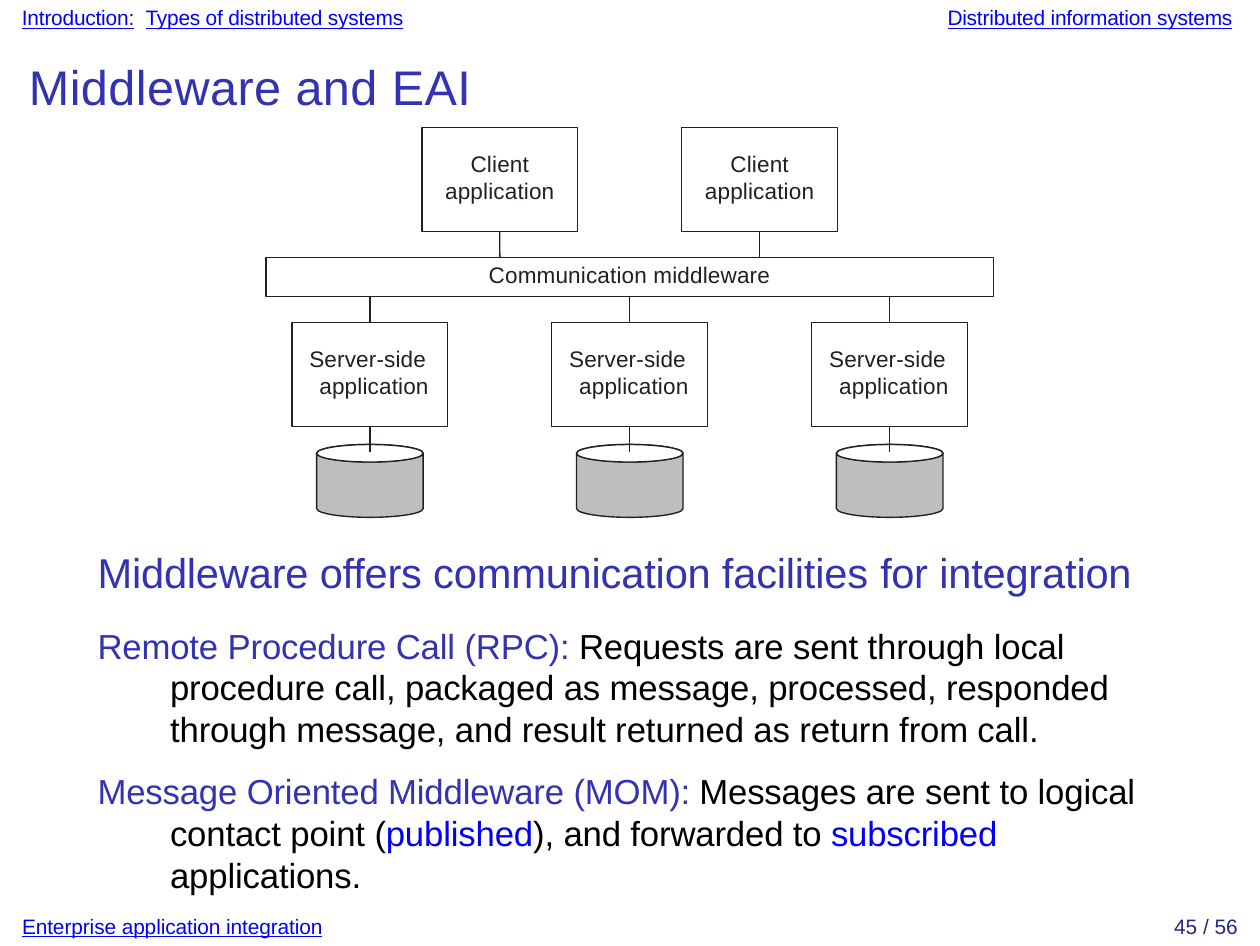
"""Builds a slide on middleware and enterprise application integration."""
from pptx import Presentation
from pptx.dml.color import RGBColor
from pptx.enum.shapes import MSO_CONNECTOR, MSO_SHAPE
from pptx.enum.text import MSO_ANCHOR, PP_ALIGN
from pptx.oxml.ns import qn
from pptx.util import Inches, Pt
from lxml import etree

RECT, CAN, OVAL = MSO_SHAPE.RECTANGLE, MSO_SHAPE.CAN, MSO_SHAPE.OVAL
LINE = MSO_CONNECTOR.STRAIGHT
MIDDLE, CENTER, LEFT = MSO_ANCHOR.MIDDLE, PP_ALIGN.CENTER, PP_ALIGN.LEFT
TOP, BOTTOM = 0, 2

WIDE, HIGH = Pt(363), Pt(272.5)
COL, ROW = 0.52, 0.26
LEFT_COL, TOP_ROW = 1.48, 0.51
BOX_W, BOX_H = 1.2, 1.6
PEN = 0.41
COLORS = {
    "link": "0000FF", "title": "3333B2", "page": "262685", "term": "0000FA",
    "body": "000000", "ink": "231F20", "disk": "BCBEC0", "white": "FFFFFF",
}


def color(name):
    return RGBColor.from_string(COLORS[name])


def col(num):
    return Inches(LEFT_COL + COL * num)


def row(num):
    return Inches(TOP_ROW + ROW * num)


def style(run, size, tint, space):
    font = run.font
    font.name, font.size = "Arial", Pt(size)
    font.color.rgb = color(tint)
    font.underline = tint == "link"
    run._r.get_or_add_rPr().set("spc", str(round(space * 100)))


def indent(para, left, first):
    props = para._p.get_or_add_pPr()
    props.set("marL", str(Inches(left)))
    props.set("indent", str(Inches(first)))


def pad(frame, top=0, bottom=0):
    frame.margin_left = frame.margin_right = 0
    frame.margin_top, frame.margin_bottom = Inches(top), Inches(bottom)
    frame.word_wrap = True


def fill_para(para, size, parts):
    for words, tint, space in parts:
        run = para.add_run()
        run.text = words
        style(run, size, tint, space)


def add_text(slide, place, size, parts):
    """Place is left, top, width and height in percent of the slide."""
    x, y, w, h = place
    box = slide.shapes.add_textbox(
        round(WIDE * x / 100), round(HIGH * y / 100),
        round(WIDE * w / 100), round(HIGH * h / 100))
    pad(box.text_frame, 0.02)
    fill_para(box.text_frame.paragraphs[0], size, parts)
    return box.text_frame


def add_form(slide, kind, mid, top, wide, high, fill=None):
    form = slide.shapes.add_shape(
        kind, col(mid - wide / 2), row(top),
        Inches(COL * wide), Inches(ROW * high))
    form.shadow.inherit = False
    if fill:
        form.fill.solid()
        form.fill.fore_color.rgb = color(fill)
    else:
        form.fill.background()
    form.line.color.rgb = color("ink")
    form.line.width = Pt(PEN)
    return form


def add_box(slide, words, mid, top, wide=BOX_W, high=BOX_H, hang=None):
    box = add_form(slide, RECT, mid, top, wide, high)
    frame = box.text_frame
    pad(frame, bottom=0.02)
    frame.vertical_anchor = MIDDLE
    frame.text = words
    para = frame.paragraphs[0]
    para.alignment = LEFT if hang else CENTER
    if hang:
        indent(para, *hang)
    style(para.runs[0], 6.5, "ink", 0.05)
    return box


def add_link(slide, mid, top, end, upper=None, lower=None):
    link = slide.shapes.add_connector(LINE, col(mid), row(top), col(mid), row(end))
    link.line.color.rgb = color("ink")
    link.line.width = Pt(PEN)
    etree.SubElement(link._element.spPr, qn("a:effectLst"))
    if upper is not None:
        link.begin_connect(upper, BOTTOM)
    if lower is not None:
        link.end_connect(lower, TOP)


def add_disk(slide, mid):
    body = add_form(slide, CAN, mid, 4.88, 0.82, 1.12, "disk")
    body.adjustments[0] = 0.24
    add_form(slide, OVAL, mid, 4.88, 0.82, 0.27, "white")


def draw_chart(slide):
    bar = add_box(slide, "Communication middleware", 2, 2, 5.6, 0.6)
    for mid in (1, 3):
        box = add_box(slide, "Client application", mid, 0)
        add_link(slide, mid, BOX_H, 2, upper=box)
    for mid in (0, 2, 4):
        box = add_box(slide, "Server-side application", mid, 3, hang=(0.11, -0.04))
        add_link(slide, mid, 2.6, 3, bar if mid == 2 else None, box)
        add_disk(slide, mid)
        add_link(slide, mid, 3 + BOX_H, 5, upper=box)


def add_body(slide):
    frame = add_text(slide, (7.75, 57.3, 84, 37.6), 12, [
        ("Middleware offers communication facilities ", "title", -0.05),
        ("for ", "title", -0.1), ("integration", "title", -0.05)])
    rpc = [
        ("Remote Procedure Call (RPC): ", "title", -0.03),
        ("Requests are sent through local procedure call, packaged as message, "
         "processed, responded through message, and result ", "body", -0.03),
        ("returned", "body", 0), (" as ", "body", -0.03),
        ("return", "body", 0), (" from call.", "body", -0.03)]
    mom = [
        ("Message Oriented Middleware (MOM): ", "title", -0.03),
        ("Messages are sent to logical contact point (", "body", -0.03),
        ("published", "term", -0.03), ("), and forwarded to ", "body", -0.03),
        ("subscribed ", "term", -0.03), ("applications.", "body", -0.03)]
    for parts, gap in ((rpc, 7.9), (mom, 5.8)):
        para = frame.add_paragraph()
        indent(para, 0.29, -0.29)
        para.space_before = Pt(gap)
        fill_para(para, 10, parts)


def main():
    deck = Presentation()
    deck.slide_width, deck.slide_height = WIDE, HIGH
    slide = deck.slides.add_slide(deck.slide_layouts[6])
    add_text(slide, (1.75, 0, 31, 3.4), 6, [
        ("Introduction:", "link", -0.05), (" ", "title", 1.6),
        ("Types of distributed systems", "link", -0.05)])
    add_text(slide, (75.2, 0, 24, 3.4), 6,
             [("Distributed information systems", "link", -0.05)])
    add_text(slide, (2.3, 5.5, 35.7, 7.1), 14,
             [("Middleware and EAI", "title", 0.1)])
    draw_chart(slide)
    add_body(slide)
    add_text(slide, (1.75, 96, 25, 3.4), 6,
             [("Enterprise application integration", "link", -0.03)])
    add_text(slide, (93.2, 96, 6, 3.4), 6, [("45 / 56", "page", 0)])
    deck.save("out.pptx")


if __name__ == "__main__":
    main()
